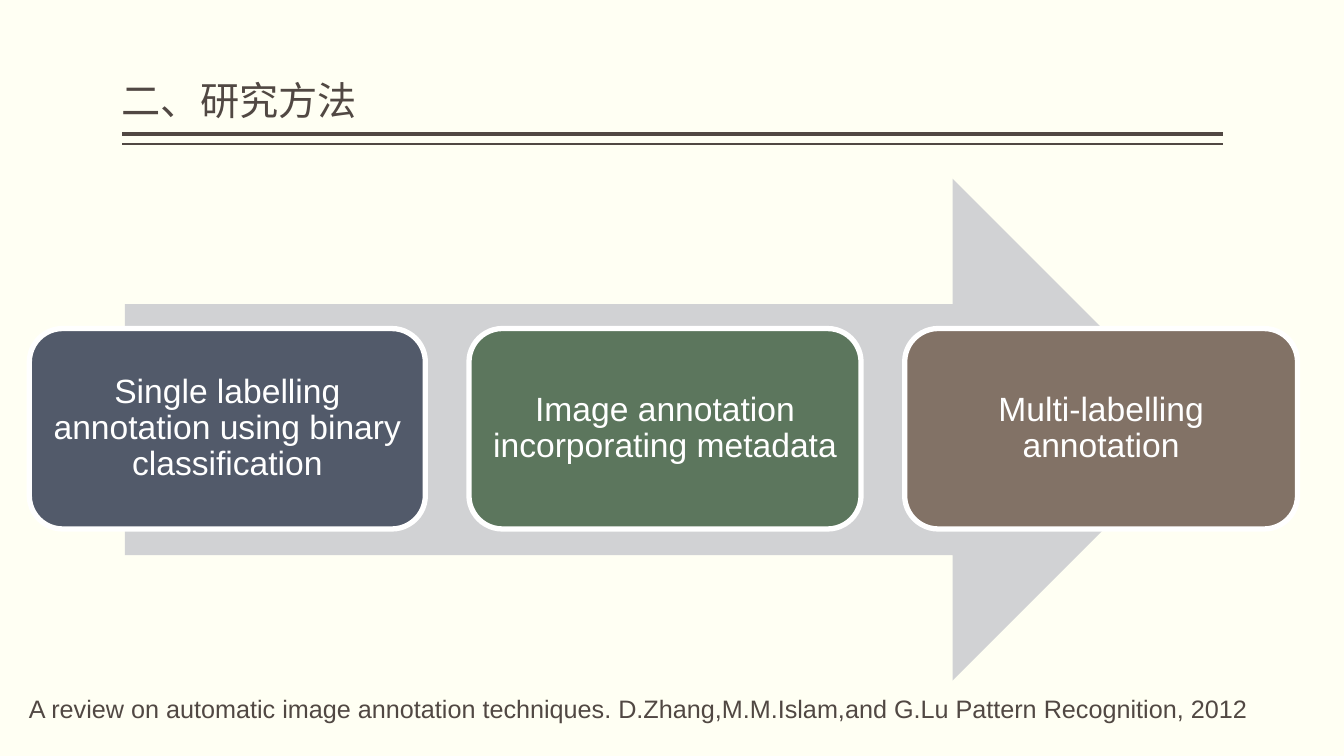
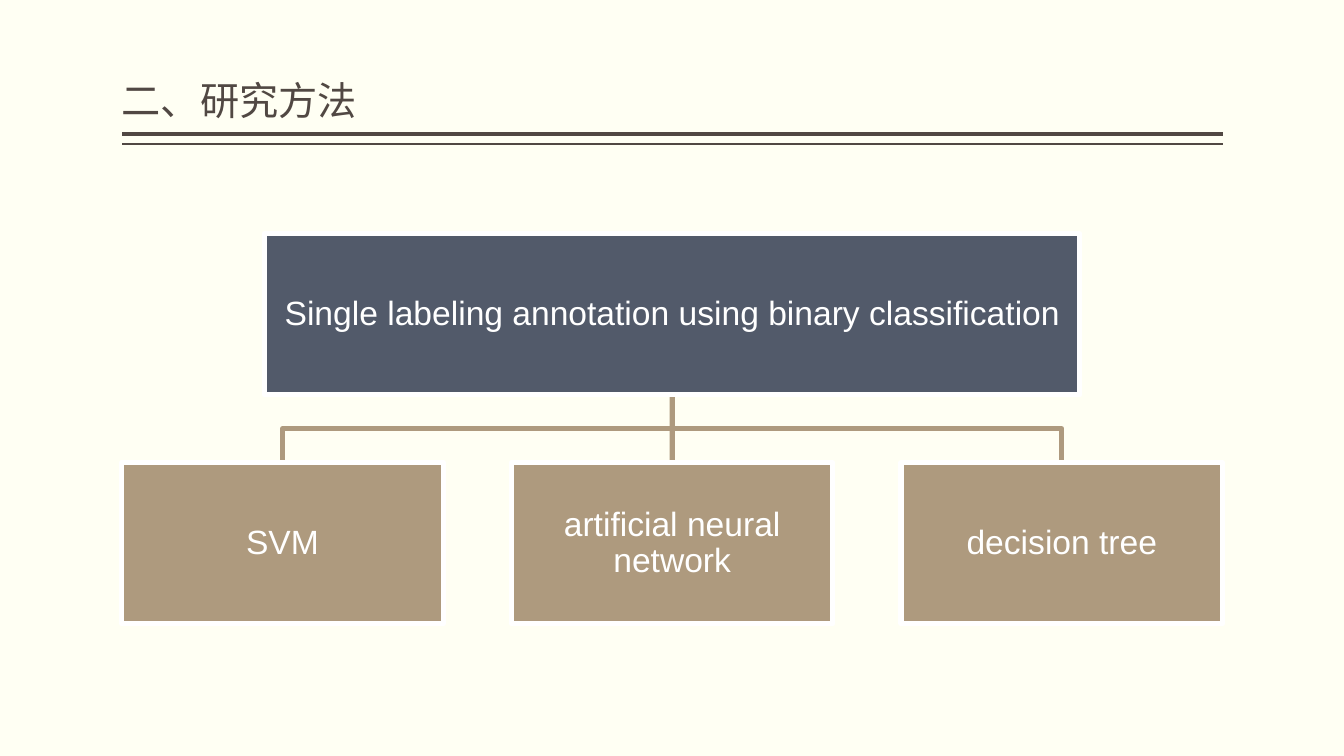
import pptx
import pptx.dml.color
import pptx.enum.shapes
import pptx.enum.text
import pptx.oxml
import pptx.oxml.ns
import pptx.util

Cm = pptx.util.Cm
Pt = pptx.util.Pt
MSO_SHAPE = pptx.enum.shapes.MSO_SHAPE
ANCHOR = pptx.enum.text.MSO_ANCHOR
ALIGN = pptx.enum.text.PP_ALIGN


def rgb(value):
    return pptx.dml.color.RGBColor.from_string(value)


class Deck:
    PAPER = "FFFFF3"
    INK = "514843"
    WHITE = "FFFFFF"
    SLATE = "525A6A"
    GREEN = "5C765D"
    BROWN = "827266"
    TAN = "AE9A7E"
    GREY = "D1D2D4"
    LATIN = "Arial"
    CJK = "Noto Sans CJK SC"
    LEFT = 3.07
    WIDTH = 27.74
    BORDER = 3.78

    def __init__(self):
        self.prs = pptx.Presentation()
        self.prs.slide_width = Cm(33.87)
        self.prs.slide_height = Cm(19.05)

    def new_slide(self, title):
        self.s = self.prs.slides.add_slide(self.prs.slide_layouts[6])
        fill = self.s.background.fill
        fill.solid()
        fill.fore_color.rgb = rgb(self.PAPER)
        right = self.LEFT + self.WIDTH
        for y, weight in ((3.38, 3), (3.63, 1)):
            self.line((right, y), (self.LEFT, y), self.INK, weight)
        self.text(self.LEFT, 0.2, self.WIDTH, 3.05, title, 28, self.CJK,
                  ANCHOR.BOTTOM, (0, 0.13), 0.9)

    def set_text(self, sp, text, size, font, color, anchor, insets, spacing, align):
        tf = sp.text_frame
        tf.word_wrap = True
        tf.vertical_anchor = anchor
        tf.margin_left = tf.margin_right = Cm(insets[0])
        tf.margin_top = tf.margin_bottom = Cm(insets[1])
        p = tf.paragraphs[0]
        p.alignment = align
        p.line_spacing = spacing
        r = p.add_run()
        r.text = text
        r.font.size = Pt(size)
        r.font.name = font
        r.font.color.rgb = rgb(color)
        ea = pptx.oxml.parse_xml(
            f'<a:ea {pptx.oxml.ns.nsdecls("a")} typeface="{font}"/>')
        r.font._element.find(pptx.oxml.ns.qn("a:latin")).addnext(ea)

    def text(self, x, y, w, h, text, size, font, anchor, insets, spacing):
        sp = self.s.shapes.add_textbox(Cm(x), Cm(y), Cm(w), Cm(h))
        self.set_text(sp, text, size, font, self.INK, anchor, insets, spacing,
                      ALIGN.LEFT)

    def shape(self, kind, x, y, w, h, fill):
        sp = self.s.shapes.add_shape(kind, Cm(x), Cm(y), Cm(w), Cm(h))
        sp.shadow.inherit = False
        sp.fill.solid()
        sp.fill.fore_color.rgb = rgb(fill)
        sp.line.fill.background()
        return sp

    def box(self, kind, x, y, w, h, fill, text, inset):
        sp = self.shape(kind, x, y, w, h, fill)
        self.stroke(sp, self.WHITE, self.BORDER)
        self.set_text(sp, text, 24, self.LATIN, self.WHITE, ANCHOR.MIDDLE,
                      (inset, inset), 0.9, ALIGN.CENTER)

    def stroke(self, sp, color, weight):
        sp.line.color.rgb = rgb(color)
        sp.line.width = Pt(weight)

    def line(self, start, end, color, weight):
        sp = self.s.shapes.add_connector(
            pptx.enum.shapes.MSO_CONNECTOR.STRAIGHT,
            *(Cm(v) for v in (*start, *end)))
        self.stroke(sp, color, weight)
        sp._element.spPr.append(pptx.oxml.parse_xml(
            f'<a:effectLst {pptx.oxml.ns.nsdecls("a")}/>'))

    def elbow(self, start, end):
        middle = (start[1] + end[1]) / 2
        points = [(Cm(x), Cm(y)) for x, y in
                  (start, (start[0], middle), (end[0], middle), end)]
        builder = self.s.shapes.build_freeform(*points[0])
        builder.add_line_segments(points[1:], close=False)
        sp = builder.convert_to_shape()
        sp.shadow.inherit = False
        sp.fill.background()
        self.stroke(sp, self.TAN, self.BORDER)


def build_stages(deck):
    deck.new_slide("二、研究方法")
    deck.shape(MSO_SHAPE.RIGHT_ARROW, 3.15, 4.5, 27.18, 12.65, deck.GREY)
    stages = (
        (9.98, deck.SLATE, "Single labelling annotation using binary classification"),
        (9.88, deck.GREEN, "Image annotation incorporating metadata"),
        (9.9, deck.BROWN, "Multi-labelling annotation"),
    )
    x, gap = 0.74, 1.1
    for width, fill, label in stages:
        deck.box(MSO_SHAPE.ROUNDED_RECTANGLE, x, 8.28, width, 5.05, fill, label, 0.25)
        x += width + gap
    deck.text(0.48, 17.35, 32.49, 1.02,
              "A review on automatic image annotation techniques. "
              "D.Zhang,M.M.Islam,and G.Lu Pattern Recognition, 2012",
              18, deck.LATIN, ANCHOR.TOP, (0.25, 0.13), 1.0)


def build_tree(deck):
    deck.new_slide("二、研究方法")
    methods = ("SVM", "artificial neural network", "decision tree")
    root_top, child_top, height = 5.89, 11.66, 4.06
    root_width, child_width = 20.55, 8.1
    step = (deck.WIDTH - child_width) / (len(methods) - 1)
    center = deck.LEFT + deck.WIDTH / 2
    start = (center, root_top + height)
    lefts = [deck.LEFT + i * step for i in range(len(methods))]
    for x in lefts:
        end = (x + child_width / 2, child_top)
        if abs(end[0] - center) < 0.01:
            deck.line(start, end, deck.TAN, deck.BORDER)
        else:
            deck.elbow(start, end)
    deck.box(MSO_SHAPE.RECTANGLE, center - root_width / 2, root_top, root_width,
             height, deck.SLATE,
             "Single labeling annotation using binary classification", 0.05)
    for x, method in zip(lefts, methods):
        deck.box(MSO_SHAPE.RECTANGLE, x, child_top, child_width, height,
                 deck.TAN, method, 0.05)


def main():
    deck = Deck()
    build_stages(deck)
    build_tree(deck)
    deck.prs.save("out.pptx")


if __name__ == "__main__":
    main()
